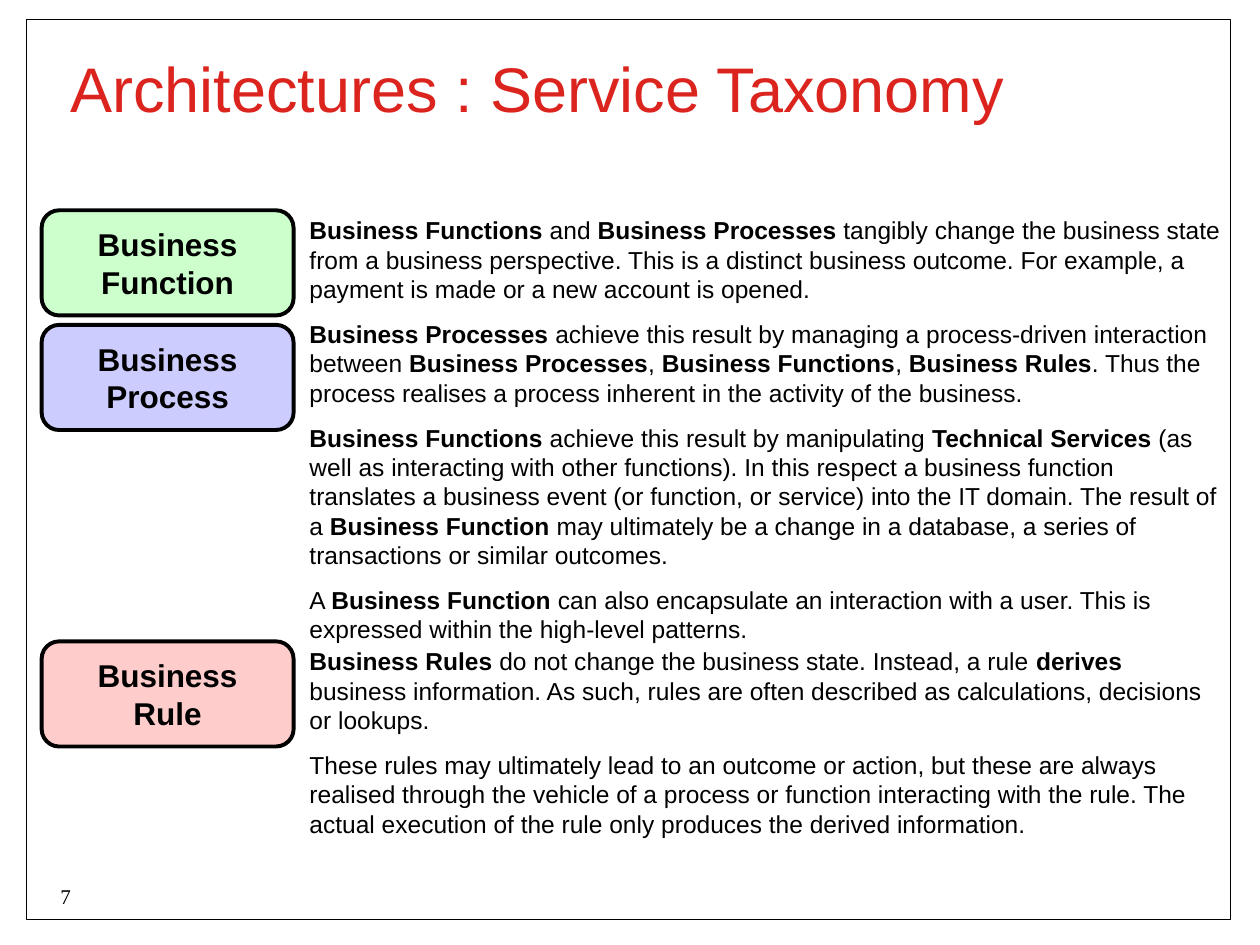
from pptx import Presentation
from pptx import util as u
from pptx.dml.color import RGBColor
from pptx.enum import shapes, text

BLACK = RGBColor(0x00, 0x00, 0x00)
RED = RGBColor(0xDC, 0x24, 0x1F)
GREEN = RGBColor(0xCC, 0xFF, 0xCC)
LILAC = RGBColor(0xCC, 0xCC, 0xFF)
PINK = RGBColor(0xFF, 0xCC, 0xCC)

FUNCTION_TOP, PROCESS_TOP, RULE_TOP = 4.24, 6.55, 12.93

SERVICES = [
    ("Function", FUNCTION_TOP, GREEN),
    ("Process", PROCESS_TOP, LILAC),
    ("Rule", RULE_TOP, PINK),
]

DESCRIPTIONS = [
    (FUNCTION_TOP, 8.84, [
        "*Business Functions* and *Business Processes* tangibly change the business state from a "
        "business perspective. This is a distinct business outcome. For example, a payment is made "
        "or a new account is opened.",
        "*Business Processes* achieve this result by managing a process-driven interaction between "
        "*Business Processes*, *Business Functions*, *Business Rules*. Thus the process realises a "
        "process inherent in the activity of the business.",
        "*Business Functions* achieve this result by manipulating *Technical Services* (as well as "
        "interacting with other functions). In this respect a business function translates a business "
        "event (or function, or service) into the IT domain. The result of a *Business Function* may "
        "ultimately be a change in a database, a series of transactions or similar outcomes.",
        "A *Business Function* can also encapsulate an interaction with a user. This is expressed "
        "within the high-level patterns.",
    ]),
    (RULE_TOP, 4.06, [
        "*Business Rules *do not change the business state. Instead, a rule *derives* business "
        "information. As such, rules are often described as calculations, decisions or lookups.",
        "These rules may ultimately lead to an outcome or action, but these are always realised "
        "through the vehicle of a process or function interacting with the rule. The actual execution "
        "of the rule only produces the derived information.",
    ]),
]


def write(box, paragraphs, size, font="Arial", color=BLACK, align=text.PP_ALIGN.LEFT,
          anchor=text.MSO_ANCHOR.TOP, inset=(0.1, 0.1), wrap=True, spacing=None, before=0,
          fit=text.MSO_AUTO_SIZE.NONE):
    frame = box.text_frame
    frame.word_wrap = wrap
    frame.auto_size = fit
    frame.vertical_anchor = anchor
    frame.margin_left = frame.margin_right = u.Cm(inset[0])
    frame.margin_top = frame.margin_bottom = u.Cm(inset[1])
    for index, content in enumerate(paragraphs):
        para = frame.add_paragraph() if index else frame.paragraphs[0]
        para.alignment = align
        para.line_spacing = spacing
        para.space_before = u.Pt(before if index else 0)
        for position, part in enumerate(content.split("*")):
            if part:
                span = para.add_run()
                span.text = part
                span.font.name = font
                span.font.size = u.Pt(size)
                span.font.bold = position % 2 == 1
                span.font.color.rgb = color


deck = Presentation()
deck.slide_width, deck.slide_height = u.Cm(25.4), u.Cm(19.05)
page = deck.slides.add_slide(deck.slide_layouts[5])

border = page.shapes.add_shape(shapes.MSO_SHAPE.RECTANGLE, u.Cm(0.53), u.Cm(0.4), u.Cm(24.28), u.Cm(18.14))
border.shadow.inherit = False
border.fill.background()
border.line.color.rgb = BLACK
border.line.width = u.Pt(0.75)

title = page.shapes.title
title.left, title.top, title.width, title.height = u.Cm(1.17), u.Cm(0.99), u.Cm(22.99), u.Cm(3.76)
write(title, ["Architectures : Service Taxonomy"], 36, color=RED, inset=(0.25, 0.13), spacing=u.Pt(40))

for name, top, fill in SERVICES:
    box = page.shapes.add_shape(shapes.MSO_SHAPE.ROUNDED_RECTANGLE, u.Cm(0.84), u.Cm(top), u.Cm(5.08), u.Cm(2.12))
    box.shadow.inherit = False
    box.fill.solid()
    box.fill.fore_color.rgb = fill
    box.line.color.rgb = BLACK
    box.line.width = u.Pt(2.25)
    write(box, ["*Business*", f"*{name}*"], 18, align=text.PP_ALIGN.CENTER,
          anchor=text.MSO_ANCHOR.MIDDLE, wrap=False)

for top, height, paragraphs in DESCRIPTIONS:
    box = page.shapes.add_textbox(u.Cm(6.14), u.Cm(top), u.Cm(18.62), u.Cm(height))
    write(box, paragraphs, 14, before=8.8, fit=text.MSO_AUTO_SIZE.SHAPE_TO_FIT_TEXT)

number = page.shapes.add_textbox(u.Cm(0.97), u.Cm(17.68), u.Cm(7.26), u.Cm(0.81))
write(number, ["7"], 12, font="Times New Roman", inset=(0.25, 0.13))

deck.save("out.pptx")
